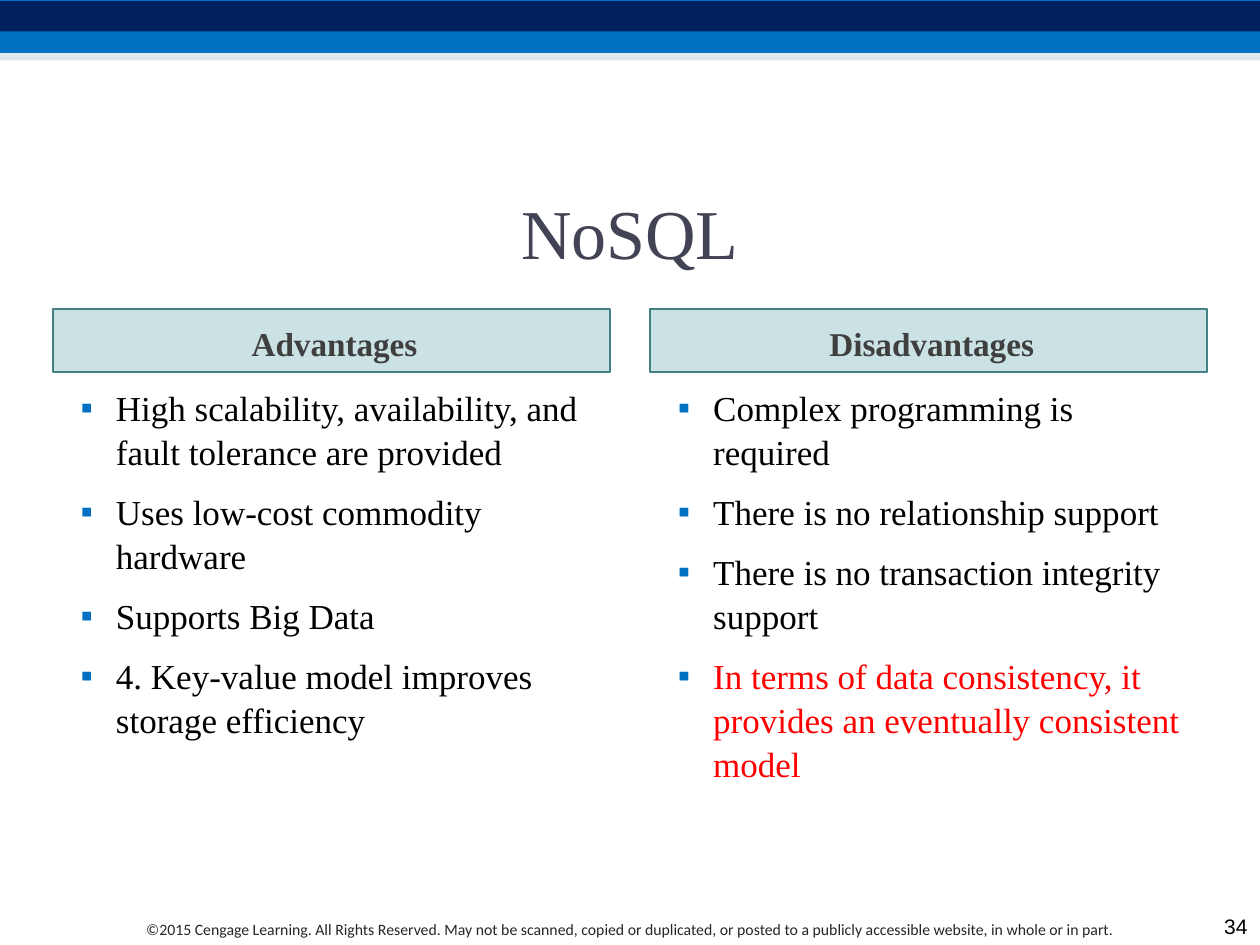
from dataclasses import dataclass

from lxml.etree import SubElement
from pptx import Presentation
from pptx.dml.color import RGBColor as Rgb
from pptx.enum.shapes import MSO_SHAPE as Shape
from pptx.enum.text import MSO_ANCHOR as Anchor, MSO_AUTO_SIZE as AutoSize, PP_ALIGN as Align
from pptx.oxml.ns import qn
from pptx.util import Inches, Pt


@dataclass(frozen=True)
class Theme:
    serif: str = "Times New Roman"
    footer_font: str = "Calibri"
    number_font: str = "Arial"
    title_size: int = 40
    header_size: int = 19
    list_size: int = 20
    footer_size: int = 9
    number_size: int = 12
    title: str = "424456"
    header: str = "3F3F3F"
    header_fill: str = "328E97"
    header_line: str = "438086"
    text: str = "000000"
    warning: str = "FF0000"
    footer: str = "262626"
    navy: str = "002060"
    blue: str = "0070C0"
    pale: str = "BED3E1"


THEME = Theme()

# Slide grid in inches: two equal columns between the side margins
WIDTH, HEIGHT = 10, 7.5
MARGIN, GAP = 0.42, 0.32
COLUMN = (WIDTH - 2 * MARGIN - GAP) / 2
TITLE_TOP, TITLE_HEIGHT = 1.25, 1.17
HEADER_TOP, HEADER_HEIGHT = 2.45, 0.5
LIST_TOP, LIST_HEIGHT = 2.96, 4.25
TOP_INSET = 0.09

# Bands as top, height, colour, opacity in percent
BANDS = [
    (0, 0.42, THEME.blue, 100),
    (0.01, 0.24, THEME.navy, 100),
    (0.42, 0.06, THEME.pale, 50),
]

# Columns as heading and list items, each with its colour
COLUMNS = [
    ("Advantages", [
        ("High scalability, availability, and fault tolerance are provided", THEME.text),
        ("Uses low-cost commodity hardware", THEME.text),
        ("Supports Big Data", THEME.text),
        ("4. Key-value model improves storage efficiency", THEME.text),
    ]),
    ("Disadvantages", [
        ("Complex programming is required", THEME.text),
        ("There is no relationship support", THEME.text),
        ("There is no transaction integrity support", THEME.text),
        ("In terms of data consistency, it provides an eventually consistent model",
         THEME.warning),
    ]),
]

COPYRIGHT = ("©2015 Cengage Learning. All Rights Reserved. May not be scanned, copied or "
             "duplicated, or posted to a publicly accessible website, in whole or in part.")


def place(shape, left, top, width, height):
    shape.left, shape.top = Inches(left), Inches(top)
    shape.width, shape.height = Inches(width), Inches(height)


def fill_shape(shape, color, opacity=100):
    shape.fill.solid()
    shape.fill.fore_color.rgb = Rgb.from_string(color)
    if opacity < 100:
        tint = shape.fill._xPr.find(qn("a:solidFill"))[0]
        SubElement(tint, qn("a:alpha"), val=str(opacity * 1000))


def style_font(para, name, size, color, bold=False):
    font = para.font
    font.name, font.size, font.bold = name, Pt(size), bold
    font.color.rgb = Rgb.from_string(color)


def prepare_frame(shape, anchor, top_inset=0.05):
    frame = shape.text_frame
    frame.word_wrap = True
    frame.auto_size = AutoSize.NONE
    frame.vertical_anchor = anchor
    frame.margin_top = Inches(top_inset)
    return frame


def set_indent(para, left, first=0):
    props = para._p.get_or_add_pPr()
    props.set("marL", str(Inches(left)))
    props.set("indent", str(Inches(first)))
    return props


def add_band(page, top, height, color, opacity):
    band = page.shapes.add_shape(Shape.RECTANGLE, 0, Inches(top), Inches(WIDTH), Inches(height))
    band.shadow.inherit = False
    band.line.fill.background()
    fill_shape(band, color, opacity)


def add_label(page, text, area, align, anchor, font):
    box = page.shapes.add_textbox(*map(Inches, area))
    para = prepare_frame(box, anchor).paragraphs[0]
    para.text, para.alignment = text, align
    style_font(para, *font)


def write_title(page, text):
    title = page.shapes.title
    place(title, MARGIN, TITLE_TOP, WIDTH - 2 * MARGIN, TITLE_HEIGHT)
    para = prepare_frame(title, Anchor.MIDDLE).paragraphs[0]
    para.text, para.alignment = text, Align.CENTER
    style_font(para, THEME.serif, THEME.title_size, THEME.title)


def write_header(header, text, left):
    place(header, left, HEADER_TOP, COLUMN, HEADER_HEIGHT)
    fill_shape(header, THEME.header_fill, 25)
    header.line.color.rgb = Rgb.from_string(THEME.header_line)
    header.line.width = Pt(1)
    para = prepare_frame(header, Anchor.MIDDLE, TOP_INSET).paragraphs[0]
    para.text, para.alignment = text, Align.CENTER
    para.space_before = Pt(0)
    set_indent(para, 0.05)
    style_font(para, THEME.serif, THEME.header_size, THEME.header, bold=True)


def write_list(body, items, left):
    place(body, left, LIST_TOP, COLUMN, LIST_HEIGHT)
    frame = prepare_frame(body, Anchor.TOP, TOP_INSET)
    for index, (text, color) in enumerate(items):
        para = frame.add_paragraph() if index else frame.paragraphs[0]
        para.text = text
        para.line_spacing = 1.05
        para.space_before = Pt(3 if index else 0)
        para.space_after = Pt(6)
        # Square blue bullet
        props = set_indent(para, 0.4, -0.28)
        SubElement(SubElement(props, qn("a:buClr")), qn("a:srgbClr"), val=THEME.blue)
        SubElement(props, qn("a:buFont"), typeface=THEME.number_font)
        SubElement(props, qn("a:buChar"), char="▪")
        style_font(para, THEME.serif, THEME.list_size, color)


def main():
    deck = Presentation()
    deck.slide_width, deck.slide_height = Inches(WIDTH), Inches(HEIGHT)
    page = deck.slides.add_slide(deck.slide_layouts.get_by_name("Comparison"))

    # Top bands and title
    for band in BANDS:
        add_band(page, *band)
    write_title(page, "NoSQL")

    # Headed lists, side by side
    for column, (heading, items) in enumerate(COLUMNS):
        left = MARGIN + column * (COLUMN + GAP)
        write_header(page.placeholders[1 + 2 * column], heading, left)
        write_list(page.placeholders[2 + 2 * column], items, left)

    # Copyright line and page number
    add_label(page, COPYRIGHT, (0.58, 7.25, 8.83, 0.25), Align.CENTER, Anchor.TOP,
              (THEME.footer_font, THEME.footer_size, THEME.footer))
    add_label(page, "34", (9.5, 7.17, 0.5, 0.33), Align.RIGHT, Anchor.BOTTOM,
              (THEME.number_font, THEME.number_size, THEME.text))

    deck.save("out.pptx")


if __name__ == "__main__":
    main()
